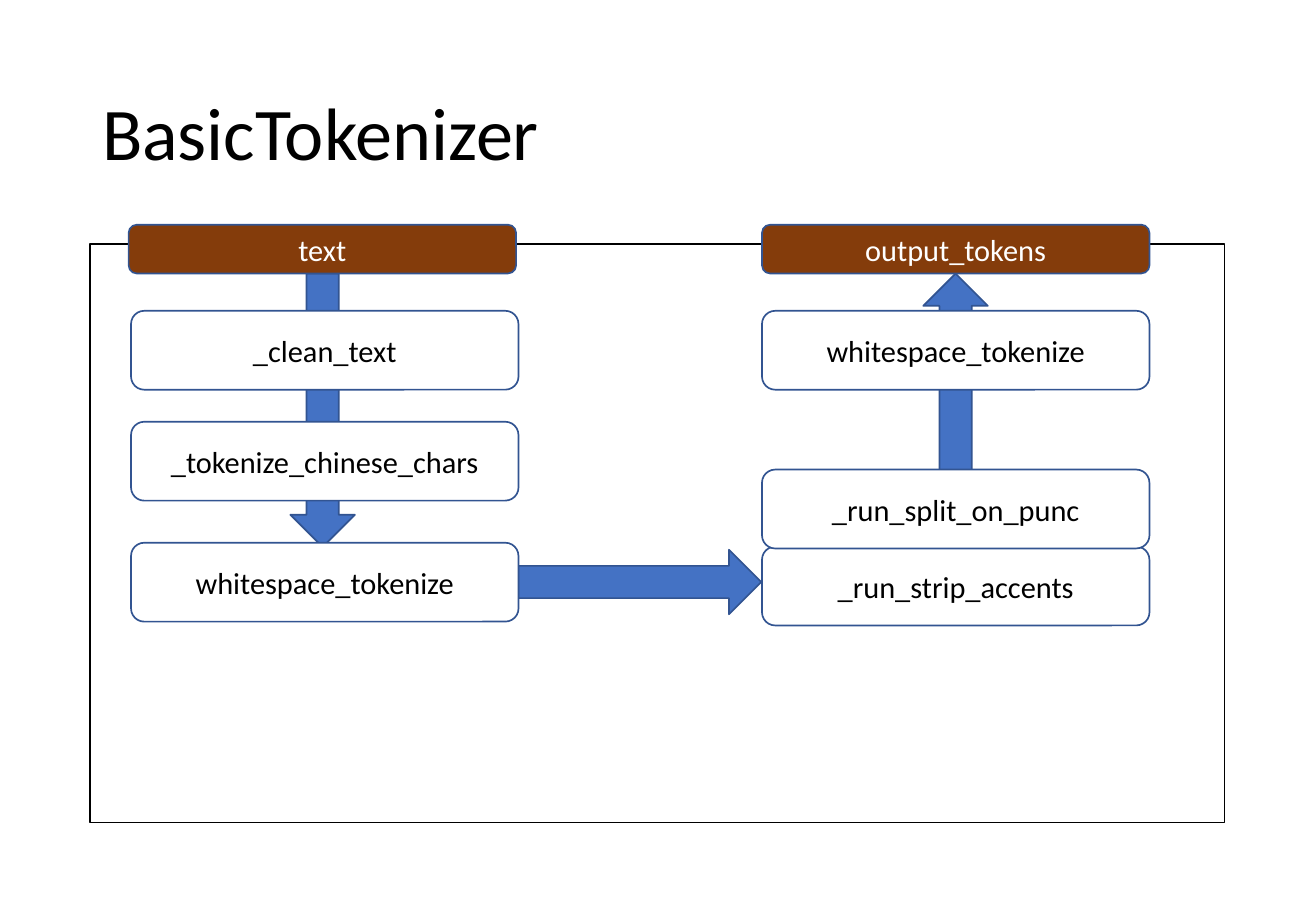
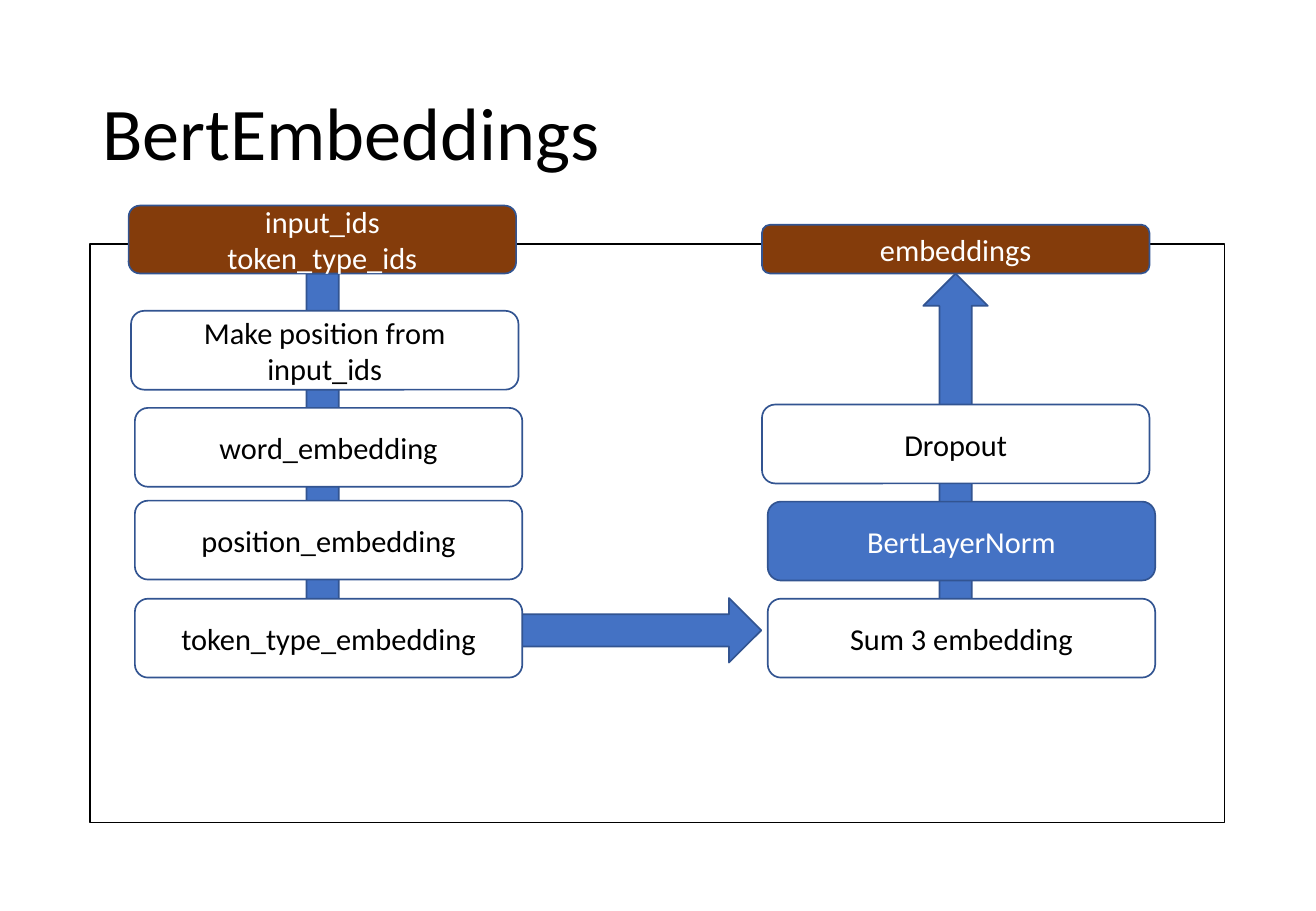
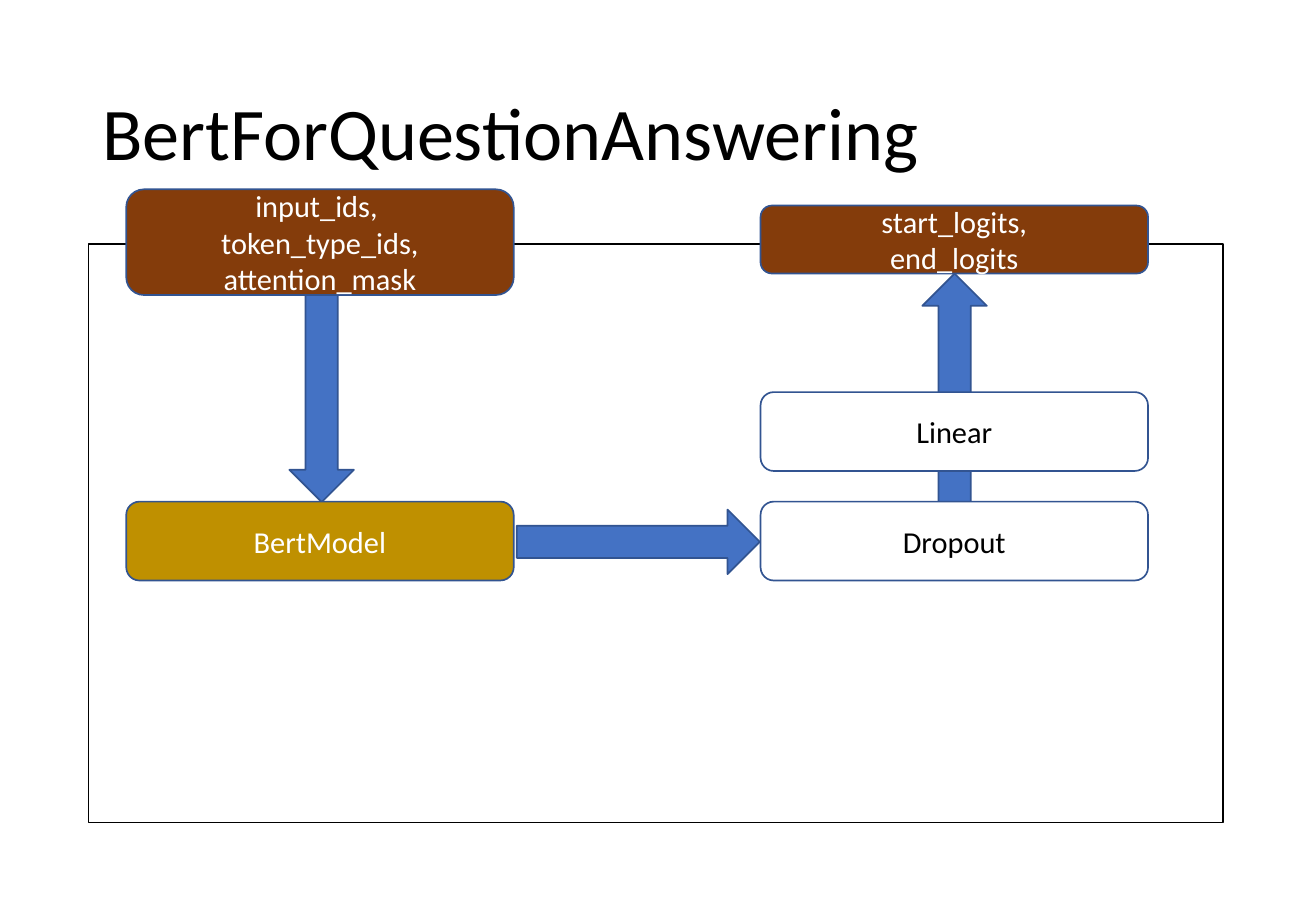
from pptx import Presentation
from pptx.dml.color import RGBColor
from pptx.enum.shapes import MSO_SHAPE
from pptx.enum.text import MSO_ANCHOR, PP_ALIGN
from pptx.util import Cm, Pt

BLACK = RGBColor(0x00, 0x00, 0x00)
WHITE = RGBColor(0xFF, 0xFF, 0xFF)
BLUE = RGBColor(0x44, 0x72, 0xC4)
NAVY = RGBColor(0x32, 0x54, 0x91)
BROWN = RGBColor(0x84, 0x3C, 0x0B)
GOLD = RGBColor(0xBF, 0x90, 0x00)


class Deck:
    font = "Calibri"
    box_width = 8.1
    box_height = 1.65
    arrow_width = 1.35
    port_bottom = 5.72

    def __init__(self):
        self.prs = Presentation()
        self.prs.slide_width = Cm(27.51)
        self.prs.slide_height = Cm(19.05)

    def slide(self, title, frame_left=1.88):
        self.s = self.prs.slides.add_slide(self.prs.slide_layouts[5])
        sp = self.s.shapes.title
        sp.left, sp.top, sp.width, sp.height = Cm(1.88), Cm(1.02), Cm(23.72), Cm(3.68)
        sp.text_frame.vertical_anchor = MSO_ANCHOR.MIDDLE
        self.label(sp, title, 44, BLACK, PP_ALIGN.LEFT, 0.9)
        self.shape(MSO_SHAPE.RECTANGLE, frame_left, 5.11, 23.72, 12.09, line=BLACK)

    def label(self, sp, text, size, color, align, spacing=None):
        tf = sp.text_frame
        tf.text = text
        tf.word_wrap = True
        for p in tf.paragraphs:
            p.alignment = align
            p.line_spacing = spacing
            p.font.name = self.font
            p.font.size = Pt(size)
            p.font.color.rgb = color

    def shape(self, kind, x, y, w, h, fill=None, line=NAVY):
        sp = self.s.shapes.add_shape(kind, Cm(x), Cm(y), Cm(w), Cm(h))
        sp.shadow.inherit = False
        if fill is None:
            sp.fill.background()
        else:
            sp.fill.solid()
            sp.fill.fore_color.rgb = fill
        sp.line.color.rgb = line
        sp.line.width = Pt(1)
        return sp

    def arrow(self, x, y, length, rotation=0):
        sp = self.shape(MSO_SHAPE.DOWN_ARROW, x, y, self.arrow_width, length, BLUE)
        sp.rotation = rotation

    def down(self, x, length):
        self.arrow(x, self.port_bottom, length)

    def up(self, x, length):
        self.arrow(x, self.port_bottom, length, 180)

    def across(self, x, y):
        self.arrow(x, y, 5.08, 270)

    def box(self, x, y, text, fill=WHITE, height=box_height):
        sp = self.shape(MSO_SHAPE.ROUNDED_RECTANGLE, x, y, self.box_width, height, fill)
        color = BLACK if fill == WHITE else WHITE
        self.label(sp, text, 18, color, PP_ALIGN.CENTER)

    def port(self, x, text, height=1.02, bottom=port_bottom):
        self.box(x, bottom - height, text, BROWN, height)


deck = Deck()

deck.slide("BasicTokenizer")
deck.down(6.07, 5.72)
deck.up(19.3, 5.79)
deck.across(12.7, 9.63)
deck.port(2.69, "text")
deck.port(15.93, "output_tokens")
deck.box(2.74, 6.5, "_clean_text")
deck.box(2.74, 8.82, "_tokenize_chinese_chars")
deck.box(2.74, 11.35, "whitespace_tokenize")
deck.box(15.93, 11.43, "_run_strip_accents")
deck.box(15.93, 9.82, "_run_split_on_punc")
deck.box(15.93, 6.5, "whitespace_tokenize")

deck.slide("BertEmbeddings")
deck.down(6.07, 7.59)
deck.up(19.3, 7.11)
deck.across(12.7, 10.64)
deck.port(2.69, "input_ids\ntoken_type_ids", 1.42)
deck.port(15.93, "embeddings")
deck.box(2.74, 6.5, "Make position from input_ids")
deck.box(2.82, 8.53, "word_embedding")
deck.box(2.82, 10.47, "position_embedding")
deck.box(2.82, 12.52, "token_type_embedding")
deck.box(16.05, 12.52, "Sum 3 embedding")
deck.box(16.05, 10.49, "BertLayerNorm", BLUE)
deck.box(15.93, 8.46, "Dropout")

deck.slide("BertForQuestionAnswering", frame_left=1.85)
deck.down(6.05, 4.78)
deck.up(19.28, 4.78)
deck.across(12.67, 8.79)
deck.port(2.64, "input_ids, \ntoken_type_ids, attention_mask", 2.21, bottom=6.17)
deck.port(15.9, "start_logits,\nend_logits", 1.42)
deck.box(2.64, 10.49, "BertModel", GOLD)
deck.box(15.9, 10.49, "Dropout")
deck.box(15.9, 8.2, "Linear")

deck.prs.save("out.pptx")
